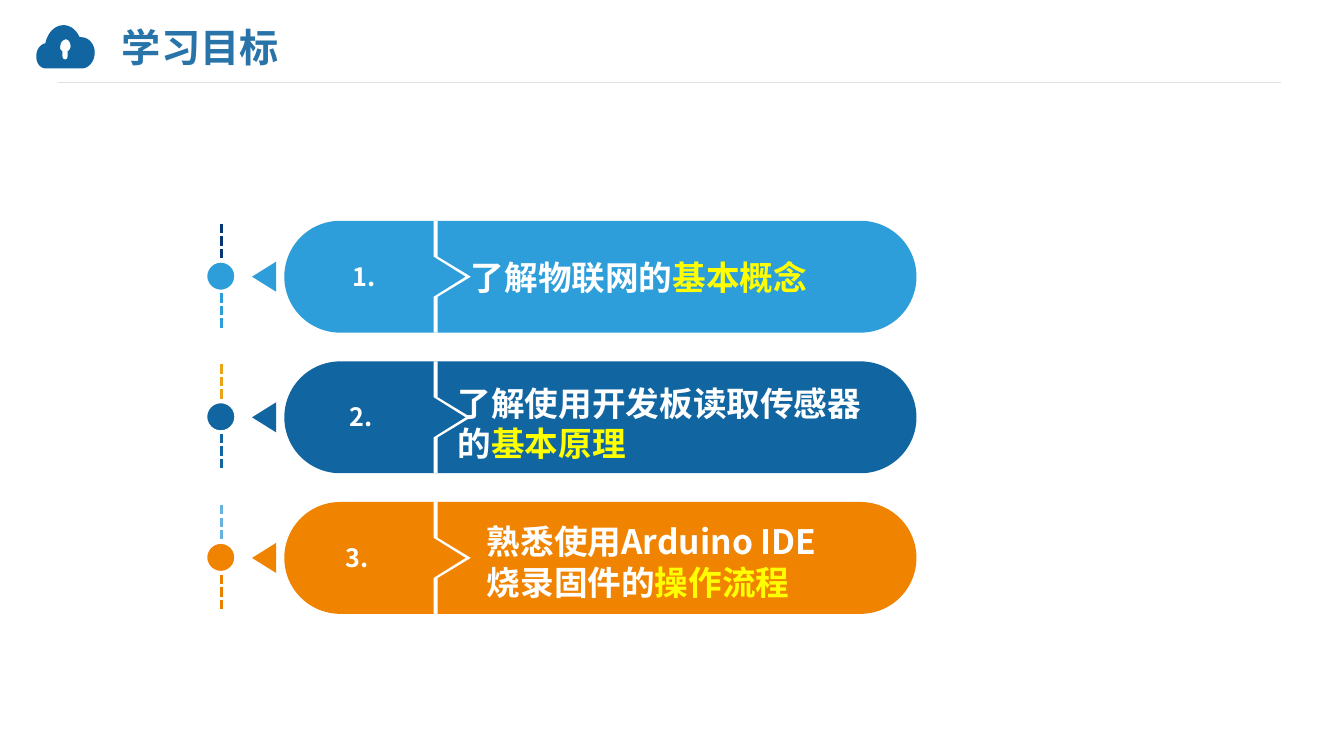
import pptx
import pptx.dml.color
import pptx.enum.dml
import pptx.enum.shapes
import pptx.enum.text
import pptx.oxml
import pptx.oxml.ns
import pptx.util

RGB = pptx.dml.color.RGBColor
SHAPE = pptx.enum.shapes.MSO_SHAPE
ALIGN = pptx.enum.text.PP_ALIGN
ANCHOR = pptx.enum.text.MSO_ANCHOR
Inches = pptx.util.Inches

WHITE = RGB(0xFF, 0xFF, 0xFF)
YELLOW = RGB(0xFF, 0xFF, 0x00)
GRAY = RGB(0xE0, 0xE0, 0xE0)
TITLE_BLUE = RGB(0x28, 0x74, 0xA9)
SKY = RGB(0x2E, 0x9E, 0xDA)
BLUE = RGB(0x11, 0x65, 0xA0)
ORANGE = RGB(0xF0, 0x83, 0x00)
NAVY = RGB(0x05, 0x36, 0x75)
GOLD = RGB(0xEB, 0xA4, 0x17)
PALE = RGB(0x66, 0xB3, 0xE1)
DARK_ORANGE = RGB(0xEB, 0x80, 0x00)

FONT = "Noto Sans CJK SC"
FIRST_ROW = 2.19
ROW_PITCH = 2.79 / 2
PILL_LEFT, PILL_WIDTH, PILL_HEIGHT = 2.82, 6.27, 1.11
TIMELINE = 2.2

GOALS = [
    ("1.", SKY, NAVY, SKY, 3.61, (4.2, 2.47, 3.9, 0.56),
     [[("了解物联网的", WHITE), ("基本概念", YELLOW)]]),
    ("2.", BLUE, GOLD, BLUE, 3.58, (4.07, 3.55, 4.59, 1.29),
     [[("了解使用开发板读取传感器", WHITE)], [("的", WHITE), ("基本原理", YELLOW)]]),
    ("3.", ORANGE, PALE, DARK_ORANGE, 3.54, (4.36, 5.07, 4.3, 1),
     [[("熟悉使用Arduino IDE", WHITE)], [("烧录固件的", WHITE), ("操作流程", YELLOW)]]),
]

CLOUD = [(0.81, 0.37), [
    ((0.8, 0.37), (0.8, 0.37), (0.79, 0.37)), ((0.76, 0.3), (0.7, 0.25), (0.63, 0.25)),
    ((0.54, 0.25), (0.47, 0.33), (0.45, 0.43)), ((0.4, 0.44), (0.36, 0.49), (0.36, 0.56)),
    ((0.36, 0.63), (0.4, 0.68), (0.46, 0.68)), ((0.81, 0.68),),
    ((0.88, 0.68), (0.94, 0.61), (0.94, 0.52)), ((0.94, 0.44), (0.88, 0.37), (0.81, 0.37))]]
KEYHOLE = [(0.67, 0.51), [
    ((0.67, 0.56),), ((0.67, 0.58), (0.66, 0.59), (0.65, 0.59)),
    ((0.63, 0.59), (0.62, 0.58), (0.62, 0.56)), ((0.62, 0.51),),
    ((0.6, 0.5), (0.59, 0.48), (0.6, 0.45)), ((0.6, 0.42), (0.62, 0.4), (0.65, 0.39)),
    ((0.68, 0.39), (0.7, 0.42), (0.7, 0.46)), ((0.7, 0.48), (0.69, 0.5), (0.67, 0.51))]]


def trace(start, segments, steps=10):
    """Return the points along a path of straight and cubic segments."""
    points = [start]
    for segment in segments:
        if len(segment) == 1:
            points.append(segment[0])
            continue
        corners = [points[-1], *segment]
        for step in range(1, steps + 1):
            t = step / steps
            weights = ((1 - t) ** 3, 3 * t * (1 - t) ** 2, 3 * t * t * (1 - t), t ** 3)
            points.append(tuple(sum(w * c[axis] for w, c in zip(weights, corners))
                                for axis in (0, 1)))
    return points


def add_outline(page, contours, color):
    """Draw one filled freeform made of closed contours given in inches."""
    first, *holes = [[(Inches(x), Inches(y)) for x, y in contour] for contour in contours]
    builder = page.shapes.build_freeform(*first[0], scale=1.0)
    builder.add_line_segments(first[1:], close=True)
    for hole in holes:
        builder.move_to(*hole[0])
        builder.add_line_segments(hole[1:], close=True)
    paint(builder.convert_to_shape(), color)


def paint(shape, color):
    """Give a shape a flat fill without line or shadow."""
    shape.shadow.inherit = False
    shape.fill.solid()
    shape.fill.fore_color.rgb = color
    shape.line.fill.background()


def add_preset(page, kind, left, top, width, height, color):
    """Add a flat preset shape."""
    shape = page.shapes.add_shape(
        kind, Inches(left), Inches(top), Inches(width), Inches(height))
    paint(shape, color)
    return shape


def add_line(page, start, end, color, width, dash=None):
    """Add a straight line between two points."""
    line = page.shapes.add_connector(
        pptx.enum.shapes.MSO_CONNECTOR.STRAIGHT, *map(Inches, (*start, *end)))
    line.line.color.rgb = color
    line.line.width = pptx.util.Pt(width)
    if dash:
        line.line.dash_style = dash
    line._element.spPr.append(pptx.oxml.parse_xml(
        f'<a:effectLst {pptx.oxml.ns.nsdecls("a")}/>'))


def add_text(page, place, paragraphs, size, indent=0, inset=0, align=ALIGN.LEFT,
             anchor=ANCHOR.MIDDLE, wrap=False):
    """Add a bold text box from paragraphs of coloured runs."""
    box = page.shapes.add_textbox(*map(Inches, place))
    frame = box.text_frame
    frame.word_wrap = wrap
    frame.vertical_anchor = anchor
    frame.margin_left, frame.margin_right = Inches(indent), 0
    frame.margin_top = frame.margin_bottom = Inches(inset)
    for number, runs in enumerate(paragraphs):
        para = frame.add_paragraph() if number else frame.paragraphs[0]
        para.alignment = align
        for text, color in runs:
            span = para.add_run()
            span.text = text
            span.font.size = pptx.util.Pt(size)
            span.font.bold = True
            span.font.name = FONT
            span.font.color.rgb = color
            span._r.get_or_add_rPr().append(pptx.oxml.parse_xml(
                f'<a:ea {pptx.oxml.ns.nsdecls("a")} typeface="{FONT}"/>'))


def add_header(page):
    """Draw the rule, the cloud icon and the title."""
    add_line(page, (0.58, 0.82), (12.71, 0.82), GRAY, 0.75)
    add_outline(page, [trace(*CLOUD), trace(*KEYHOLE)], BLUE)
    add_text(page, (1.21, 0.2, 8.89, 0.52), [[("学习目标", TITLE_BLUE)]], 28, wrap=True)


def add_pill(page, top, color):
    """Draw a pill with its white divider and its pointer."""
    pill = add_preset(page, SHAPE.ROUNDED_RECTANGLE, PILL_LEFT, top,
                      PILL_WIDTH, PILL_HEIGHT, color)
    pill.adjustments[0] = 0.5
    middle, bottom = top + PILL_HEIGHT / 2, top + PILL_HEIGHT
    left, right = 4.3, 4.34
    add_outline(page, [[
        (left, top), (left, middle - 0.2), (4.62, middle), (left, middle + 0.2),
        (left, bottom), (right, bottom), (right, middle + 0.2), (4.67, middle),
        (right, middle - 0.2), (right, top)]], WHITE)
    pointer = add_preset(page, SHAPE.ISOSCELES_TRIANGLE, 2.47, middle - 0.12,
                         0.3, 0.24, color)
    pointer.rotation = 270


def add_marker(page, top, color, above, below):
    """Draw a timeline dot between two dashed lines."""
    dash = pptx.enum.dml.MSO_LINE.SQUARE_DOT
    add_line(page, (TIMELINE, top + 0.72), (TIMELINE, top + 1.08), below, 2.25, dash)
    dot = add_preset(page, SHAPE.OVAL, 2.04, top + 0.4, 0.3, 0.3, color)
    dot.line.color.rgb = WHITE
    dot.line.width = pptx.util.Pt(2.25)
    add_line(page, (TIMELINE, top + 0.03), (TIMELINE, top + 0.39), above, 2.25, dash)


def main():
    """Build the slide and save it."""
    deck = pptx.Presentation()
    deck.slide_width, deck.slide_height = Inches(13.33), Inches(7.5)
    page = deck.slides.add_slide(deck.slide_layouts[6])
    add_header(page)
    for row, (number, color, above, below, center, place, lines) in enumerate(GOALS):
        top = FIRST_ROW + row * ROW_PITCH
        add_pill(page, top, color)
        add_marker(page, top, color, above, below)
        add_text(page, (center - 0.5, top + 0.35, 1, 0.34), [[(number, WHITE)]], 18,
                 inset=0.05, align=ALIGN.CENTER, anchor=ANCHOR.TOP)
        add_text(page, place, lines, 24, indent=0.47)
    deck.save("out.pptx")


if __name__ == "__main__":
    main()
